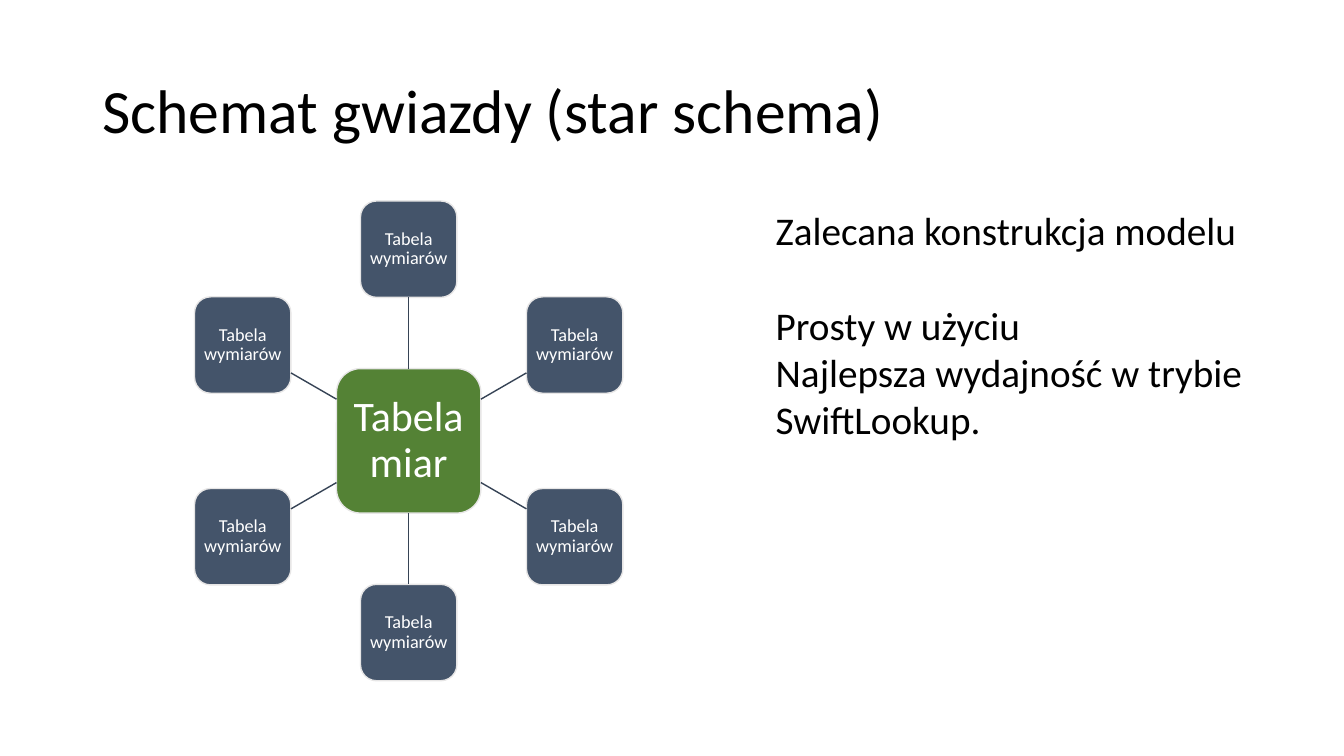
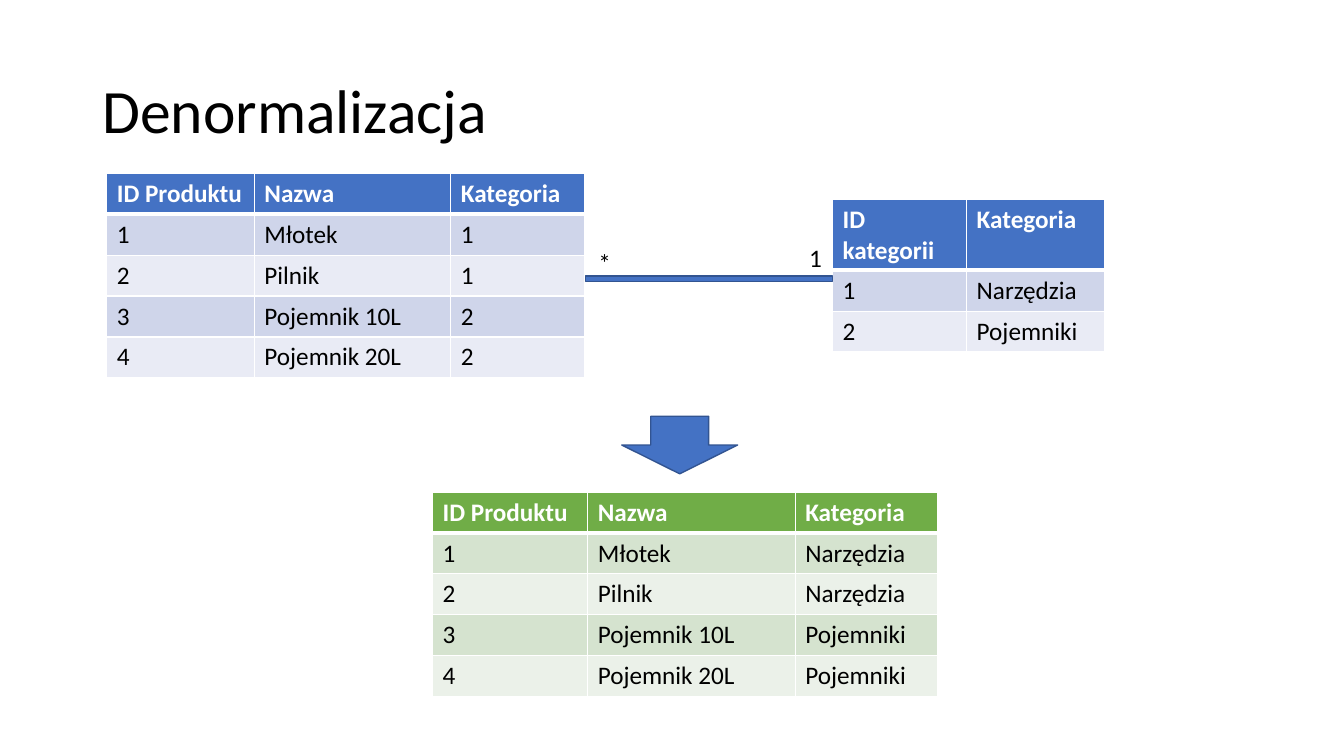
import math

import lxml.etree
import pptx
import pptx.dml.color
import pptx.enum.shapes
import pptx.enum.text
import pptx.oxml.ns
import pptx.util

Cm = pptx.util.Cm
Pt = pptx.util.Pt
qn = pptx.oxml.ns.qn
SHAPES = pptx.enum.shapes.MSO_SHAPE
CENTER = pptx.enum.text.PP_ALIGN.CENTER
MIDDLE = pptx.enum.text.MSO_ANCHOR.MIDDLE

WHITE, BLACK = "FFFFFF", "000000"
BLUE, BLUE_EDGE = "4472C4", "325491"
SLATE, SLATE_EDGE, LEAF, PALE = "44546A", "364355", "548235", "E7E6E6"
BLUE_TABLE = (BLUE, "CFD5EA", "E9EBF5")
GREEN_TABLE = ("70AD47", "D5E3CF", "EBF1E9")
ROW_HEIGHT = 1.03


def color(value):
    return pptx.dml.color.RGBColor.from_string(value)


def set_cell_borders(cell, widths):
    """Draw white borders; widths maps each side (L, R, T, B) to points."""
    properties = cell._tc.get_or_add_tcPr()
    for side, width in widths.items():
        line = lxml.etree.SubElement(properties, qn(f"a:ln{side}"), w=str(Pt(width)))
        fill = lxml.etree.SubElement(line, qn("a:solidFill"))
        lxml.etree.SubElement(fill, qn("a:srgbClr"), val=WHITE)


class Deck:
    """Holds the style and the slide being built; lengths are centimetres."""

    font = "Calibri"

    def __init__(self):
        self.presentation = pptx.Presentation()
        self.presentation.slide_width = Cm(33.87)
        self.presentation.slide_height = Cm(19.05)
        self.slide = None

    def add_slide(self, title):
        layout = self.presentation.slide_layouts[6]
        self.slide = self.presentation.slides.add_slide(layout)
        frame = self.text(title, 2.33, 1.01, 29.21, 3.68, 44, wrap=True)
        frame.vertical_anchor = MIDDLE
        frame.paragraphs[0].line_spacing = 0.9

    def format_text(self, frame, size, font_color=BLACK, bold=False):
        for paragraph in frame.paragraphs:
            for run in paragraph.runs:
                run.font.name = self.font
                run.font.size = Pt(size)
                run.font.bold = bold
                run.font.color.rgb = color(font_color)

    def text(self, content, left, top, width, height, size, wrap=False):
        box = self.slide.shapes.add_textbox(Cm(left), Cm(top), Cm(width), Cm(height))
        frame = box.text_frame
        frame.text = content
        frame.word_wrap = wrap
        if not wrap:
            frame.auto_size = pptx.enum.text.MSO_AUTO_SIZE.SHAPE_TO_FIT_TEXT
        self.format_text(frame, size)
        return frame

    def shape(self, kind, left, top, width, height, fill, edge):
        shape = self.slide.shapes.add_shape(kind, Cm(left), Cm(top), Cm(width), Cm(height))
        shape.shadow.inherit = False
        shape.fill.solid()
        shape.fill.fore_color.rgb = color(fill)
        shape.line.color.rgb = color(edge)
        shape.line.width = Pt(1)
        return shape

    def node(self, content, x, y, side, fill, size, inset):
        """Add a rounded square with centred text around the point x, y."""
        node = self.shape(SHAPES.ROUNDED_RECTANGLE, x - side / 2, y - side / 2,
                          side, side, fill, PALE)
        frame = node.text_frame
        frame.text = content
        frame.word_wrap = True
        frame.vertical_anchor = MIDDLE
        frame.margin_left = frame.margin_right = Cm(inset)
        frame.margin_top = frame.margin_bottom = Cm(inset)
        frame.paragraphs[0].alignment = CENTER
        frame.paragraphs[0].line_spacing = 0.9
        self.format_text(frame, size, WHITE)
        return node

    def connector(self, start, end):
        connector = self.slide.shapes.add_connector(
            pptx.enum.shapes.MSO_CONNECTOR.STRAIGHT, *map(Cm, start + end))
        connector.line.color.rgb = color(SLATE_EDGE)
        connector.line.width = Pt(1)
        lxml.etree.SubElement(connector._element.spPr, qn("a:effectLst"))
        return connector

    def table(self, left, top, widths, rows, palette, header_height=ROW_HEIGHT):
        header_fill, *bands = palette
        heights = [header_height] + [ROW_HEIGHT] * (len(rows) - 1)
        table = self.slide.shapes.add_table(
            len(rows), len(widths), Cm(left), Cm(top),
            Cm(sum(widths)), Cm(sum(heights))).table
        for column, width in zip(table.columns, widths):
            column.width = Cm(width)
        for index, (row, height, values) in enumerate(zip(table.rows, heights, rows)):
            row.height = Cm(height)
            header = index == 0
            borders = {"L": 1, "R": 1, "T": 3 if index == 1 else 1, "B": 3 if header else 1}
            for cell, value in zip(row.cells, values):
                set_cell_borders(cell, borders)
                cell.fill.solid()
                cell.fill.fore_color.rgb = color(
                    header_fill if header else bands[(index - 1) % 2])
                cell.text_frame.text = value
                self.format_text(cell.text_frame, 18, WHITE if header else BLACK, header)


def build_star_schema(deck):
    deck.add_slide("Schemat gwiazdy (star schema)")
    center_x, center_y, radius = 10.3, 11.11, 4.83
    hub_side, dimension_side = 3.64, 2.43
    hub = deck.node("Tabela miar", center_x, center_y, hub_side, LEAF, 30, 0.2)
    for angle in range(-90, 270, 60):
        cosine, sine = math.cos(math.radians(angle)), math.sin(math.radians(angle))

        def along(distance):
            return center_x + distance * cosine, center_y + distance * sine

        dimension = deck.node("Tabela wymiarów", *along(radius), dimension_side, SLATE, 13, 0.1)
        reach = 2 * max(abs(cosine), abs(sine))
        spoke = deck.connector(along(hub_side / reach),
                               along(radius - dimension_side / reach))
        if angle in (-90, 90):
            hub_site, dimension_site = (0, 2) if angle < 0 else (2, 0)
            spoke.begin_connect(hub, hub_site)
            spoke.end_connect(dimension, dimension_site)

    advice = deck.text(
        "Zalecana konstrukcja modelu\nProsty w użyciu\n"
        "Najlepsza wydajność w trybie\nSwiftLookup.",
        19.3, 5.08, 12.4, 6.25, 28)
    advice.paragraphs[0].space_after = Pt(34)


def build_denormalization(deck):
    deck.add_slide("Denormalizacja")
    header = ["ID Produktu", "Nazwa", "Kategoria"]
    names = ["Młotek", "Pilnik", "Pojemnik 10L", "Pojemnik 20L"]
    category_ids = ["1", "1", "2", "2"]
    categories = {"1": "Narzędzia", "2": "Pojemniki"}
    products = [[str(number), name, category] for number, (name, category)
                in enumerate(zip(names, category_ids), 1)]
    merged = [[number, name, categories[category]] for number, name, category in products]

    deck.table(2.69, 4.37, [3.72, 4.95, 3.38], [header] + products, BLUE_TABLE)
    deck.table(20.98, 5.03, [3.38, 3.48],
               [["ID kategorii", "Kategoria"], *map(list, categories.items())],
               BLUE_TABLE, header_height=1.78)
    deck.table(10.9, 12.4, [3.91, 5.23, 3.58], [header] + merged, GREEN_TABLE)
    deck.shape(SHAPES.DOWN_ARROW, 15.67, 10.49, 2.92, 1.45, BLUE, BLUE_EDGE)
    deck.shape(SHAPES.RECTANGLE, 14.76, 6.96, 6.22, 0.13, BLUE, BLUE_EDGE)
    deck.text("1", 20.14, 5.99, 0.84, 1.02, 18)
    deck.text("*", 14.83, 6.12, 0.84, 1.02, 18)


def main():
    deck = Deck()
    build_star_schema(deck)
    build_denormalization(deck)
    deck.presentation.save("out.pptx")


if __name__ == "__main__":
    main()
